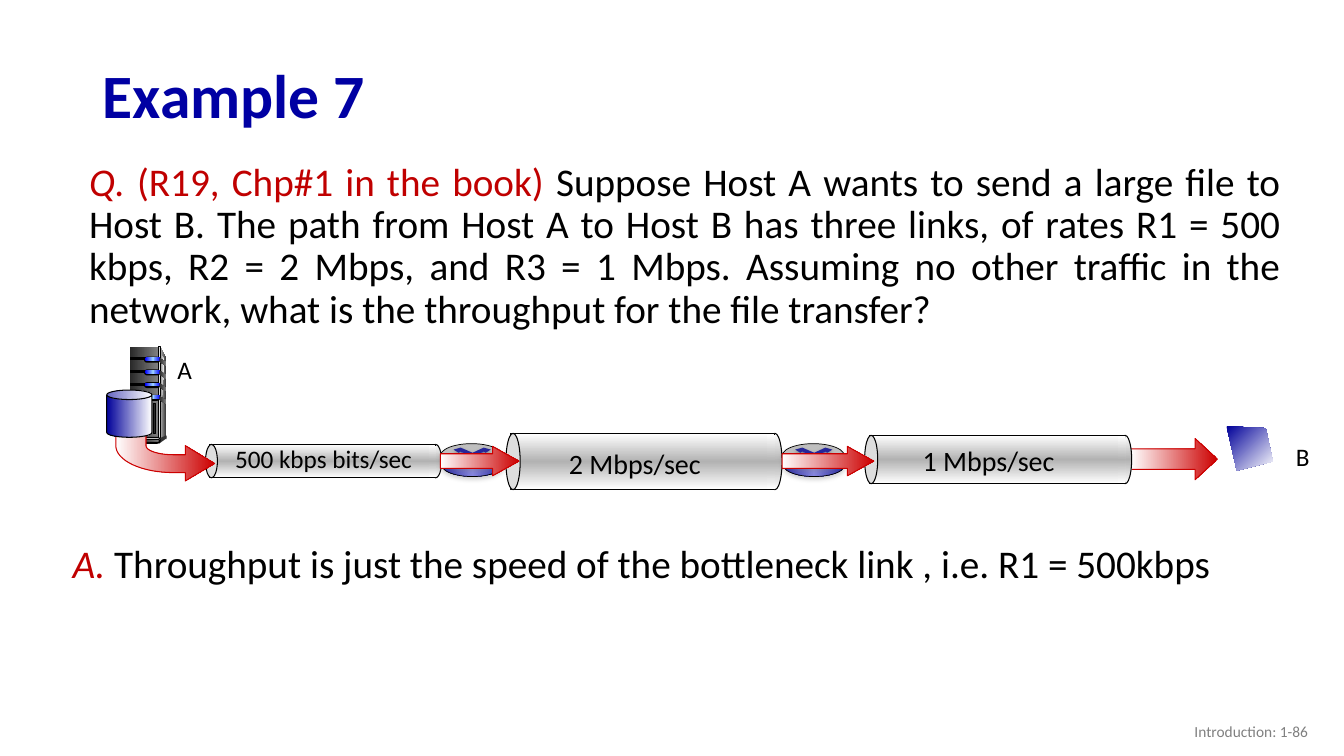
from dataclasses import dataclass
from math import cos, pi, sin

from lxml.etree import SubElement
from pptx import Presentation
from pptx.dml.color import RGBColor
from pptx.enum.shapes import MSO_CONNECTOR, MSO_SHAPE
from pptx.enum.text import MSO_ANCHOR, MSO_AUTO_SIZE, PP_ALIGN
from pptx.oxml.ns import qn
from pptx.util import Cm, Pt


@dataclass(frozen=True)
class Theme:
    font: str = "Calibri"
    title_size: int = 44
    body_size: int = 28
    rate_size: int = 20
    label_size: int = 18
    footer_size: int = 11
    title: str = "0000A3"
    accent: str = "C00000"
    text: str = "000000"
    footer: str = "808080"
    outline: str = "000000"
    arrow_line: str = "CC0000"
    arrow: tuple = ("FFFFFF", "CC0000")
    pipe: tuple = ("FFFFFF", "B2B2B2", "FFFFFF")
    pipe_mouth: str = "DDDDDD"
    storage: tuple = ("000099", "FFFFFF")
    case: tuple = ("292929", "808080")
    case_side: tuple = ("DDDDDD", "333333")
    case_shine: tuple = ("808080", "F8F8F8")
    case_edge: tuple = ("333333", "DDDDDD", "333333")
    case_base: tuple = ("000000", "808080")
    case_dark: str = "333333"
    drive: tuple = ("0000FF", "99CCFF", "0000FF")
    light_on: str = "33CC33"
    light_alert: str = "FF0000"
    router: tuple = ("262699", "8585E0", "262699")
    router_top: str = "BFBFBF"
    router_cross: str = "8585E0"
    router_arrow: str = "262699"
    shadow: str = "808080"


class SlideBuilder:
    def __init__(self, slide, theme):
        self.slide = slide
        self.theme = theme
        self.shapes = slide.shapes

    def start_group(self):
        self.shapes = self.slide.shapes.add_group_shape().shapes

    def end_group(self):
        self.shapes = self.slide.shapes

    def style(self, shape, fill, line=None, line_width=0.75, angle=0, shadow=None):
        shape.shadow.inherit = False
        if isinstance(fill, tuple):
            shape.fill.gradient()
            shape.fill.gradient_angle = (360 - angle) % 360
            stops = shape._element.spPr.find(qn("a:gradFill")).find(qn("a:gsLst"))
            for stop in list(stops):
                stops.remove(stop)
            for index, color in enumerate(fill):
                position = 100000 * index // (len(fill) - 1)
                stop = SubElement(stops, qn("a:gs"), pos=str(position))
                SubElement(stop, qn("a:srgbClr"), val=color)
        else:
            shape.fill.solid()
            shape.fill.fore_color.rgb = RGBColor.from_string(fill)
        if line:
            shape.line.color.rgb = RGBColor.from_string(line)
            shape.line.width = Pt(line_width)
        else:
            shape.line.fill.background()
        if shadow:
            effects = shape._element.spPr.find(qn("a:effectLst"))
            outer = SubElement(effects, qn("a:outerShdw"), blurRad=str(Pt(3.1)),
                               dist=str(Pt(1.8)), dir="5400000", rotWithShape="0")
            color = SubElement(outer, qn("a:srgbClr"), val=shadow)
            SubElement(color, qn("a:alpha"), val="35000")

    def shape(self, kind, left, top, width, height, fill, adjust=(), **style):
        shape = self.shapes.add_shape(kind, Cm(left), Cm(top), Cm(width), Cm(height))
        for index, value in enumerate(adjust):
            shape.adjustments[index] = value
        self.style(shape, fill, **style)

    def rectangle(self, *box, **style):
        self.shape(MSO_SHAPE.RECTANGLE, *box, **style)

    def ellipse(self, *box, **style):
        self.shape(MSO_SHAPE.OVAL, *box, **style)

    def pill(self, *box, **style):
        self.shape(MSO_SHAPE.ROUNDED_RECTANGLE, *box, adjust=(0.5,), **style)

    def outline(self, points, fill, left=0, top=0, **style):
        points = [(Cm(left + x), Cm(top + y)) for x, y in points]
        builder = self.shapes.build_freeform(*points[0])
        builder.add_line_segments(points[1:], close=True)
        self.style(builder.convert_to_shape(), fill, **style)

    def line(self, x, start, end):
        line = self.shapes.add_connector(MSO_CONNECTOR.STRAIGHT, Cm(x), Cm(start), Cm(x), Cm(end))
        line.line.color.rgb = RGBColor.from_string(self.theme.outline)
        line.line.width = Pt(0.5)
        SubElement(line._element.spPr, qn("a:effectLst"))

    def arrow(self, left, top, width, height, head):
        self.shape(MSO_SHAPE.RIGHT_ARROW, left, top, width, height, self.theme.arrow,
                   adjust=(0.5, head), line=self.theme.arrow_line)

    def format(self, paragraph, size, color=None, align=PP_ALIGN.LEFT):
        paragraph.alignment = align
        paragraph.font.name = self.theme.font
        paragraph.font.size = Pt(size)
        if color:
            paragraph.font.color.rgb = RGBColor.from_string(color)

    def text(self, text, box, size, color, align=PP_ALIGN.LEFT, anchor=MSO_ANCHOR.TOP, wrap=True):
        frame = self.shapes.add_textbox(*map(Cm, box)).text_frame
        frame.word_wrap = wrap
        frame.vertical_anchor = anchor
        frame.text = text
        self.format(frame.paragraphs[0], size, color, align)

    def title(self, text, box):
        title = self.slide.shapes.title
        title.left, title.top, title.width, title.height = map(Cm, box)
        title.text = text
        title.text_frame.vertical_anchor = MSO_ANCHOR.MIDDLE
        paragraph = title.text_frame.paragraphs[0]
        paragraph.line_spacing = 0.9
        self.format(paragraph, self.theme.title_size, self.theme.title)
        paragraph.font.bold = True

    def passage(self, shape, box, runs):
        shape.left, shape.top, shape.width, shape.height = map(Cm, box)
        frame = shape.text_frame
        frame.word_wrap = True
        frame.auto_size = MSO_AUTO_SIZE.NONE
        paragraph = frame.paragraphs[0]
        paragraph.line_spacing = 0.9
        paragraph.space_before = Pt(0)
        properties = paragraph._p.get_or_add_pPr()
        properties.set("marL", str(Cm(0.36)))
        properties.set("indent", "0")
        SubElement(properties, qn("a:buNone"))
        self.format(paragraph, self.theme.body_size, align=PP_ALIGN.JUSTIFY)
        for text, color, italic in runs:
            run = paragraph.add_run()
            run.text = text
            run.font.color.rgb = RGBColor.from_string(color)
            run.font.italic = italic

    def pipe(self, left, top, width, height, cap, label, label_box, label_size):
        theme, right = self.theme, left + width
        lined = dict(line=theme.outline, angle=90)
        self.start_group()
        self.ellipse(right - cap, top, cap, height, theme.pipe, **lined)
        self.rectangle(left + cap / 3, top, width - cap * 5 / 6, height, theme.pipe, **lined)
        self.ellipse(left, top, cap, height, theme.pipe_mouth, line=theme.outline)
        self.rectangle(right - 1.08 * cap, top + 0.03, 0.62 * cap, height - 0.05,
                       theme.pipe, angle=90)
        self.text(label, label_box, label_size, theme.text, PP_ALIGN.CENTER)
        self.end_group()

    def router(self, left, top):
        theme = self.theme
        rim = dict(line=theme.outline, line_width=0.5, shadow=theme.shadow)
        cross = [(0.81, 0.36), (0.51, 0.51), (0.41, 0.48), (0.66, 0.38), (0.66, 0.3),
                 (0.48, 0.2), (0.53, 0.2), (0.81, 0.3), (1.07, 0.18), (1.14, 0.2),
                 (0.94, 0.28), (0.99, 0.41), (1.19, 0.48), (1.12, 0.51)]
        chevron = [(0.33, 0.15), (0.51, 0.1), (0.81, 0.23), (1.09, 0.1), (1.27, 0.15),
                   (1.14, 0.23), (1.09, 0.2), (0.81, 0.33), (0.51, 0.2), (0.46, 0.23)]
        right_tip = [(0.94, 0.3), (1.3, 0.43), (1.17, 0.48), (0.94, 0.38)]
        left_tip = [(0.66, 0.3), (0.66, 0.38), (0.43, 0.48), (0.33, 0.43)]
        self.start_group()
        self.ellipse(left + 0.02, top + 0.22, 1.57, 0.61, theme.router, **rim)
        self.rectangle(left, top + 0.3, 1.6, 0.23, theme.router)
        self.ellipse(left, top, 1.57, 0.61, theme.router_top, **rim)
        self.outline(cross, theme.router_cross, left, top)
        for points in (chevron, right_tip, left_tip):
            self.outline(points, theme.router_arrow, left, top, shadow=theme.outline)
        for x in (left, left + 1.6):
            self.line(x, top + 0.56, top + 0.3)
        self.end_group()

    def server(self):
        theme = self.theme
        self.start_group()
        # Case
        self.outline([(4.04, 8.74), (4.19, 9.04), (4.19, 10.97), (3.99, 11.07)], theme.case_side)
        self.rectangle(3.28, 8.74, 0.71, 2.31, theme.case)
        self.outline([(4.04, 8.89), (4.14, 9.07), (4.05, 10.5), (4.04, 11)], theme.case_shine)
        self.rectangle(3.99, 8.74, 0.05, 2.31, theme.case_edge, line=theme.outline)
        # Drives and side vents
        for row in range(4):
            top = 9.02 + 0.32 * row
            self.rectangle(3.28, top, 0.41, 0.05, theme.outline, line=theme.outline)
            self.pill(3.63, top - 0.03, 0.41, 0.15, theme.outline)
            self.pill(3.66, top - 0.02, 0.38, 0.1, theme.drive)
            self.outline([(4.02, 0), (4.19, 0.11), (4.19, 0.2), (4.02, 0.1)], theme.case, top=top)
        # Base, lights and panel
        self.ellipse(4.17, 10.97, 0.03, 0.1, theme.case_dark)
        self.outline([(4.01, 11.05), (4.01, 11.18), (4.19, 11.05), (4.19, 10.97)], theme.case_dark)
        self.pill(3.23, 11.02, 0.81, 0.15, theme.pipe_mouth, line=theme.outline)
        self.pill(3.28, 11.07, 0.74, 0.08, theme.case_base, line=theme.outline)
        for index, color in enumerate((theme.light_on, theme.light_alert, theme.light_on)):
            self.ellipse(3.33 + 0.12 * index, 10.72, 0.1, 0.15, color)
        self.rectangle(3.86, 10.16, 0.05, 0.76, theme.case[0], line=theme.outline)
        self.end_group()

    def bent_arrow(self):
        turn = [pi / 2 * step / 16 for step in range(17)]
        outer = [(4.37 - 1.45 * sin(t), 11.23 + 0.68 * cos(t)) for t in turn]
        inner = [(4.37 - 0.69 * sin(t), 11.23 + 0.23 * cos(t)) for t in reversed(turn)]
        points = [(5.41, 11.68), (4.67, 12.12), (4.67, 11.91), *outer, (2.92, 10.54),
                  (3.68, 10.54), *inner, (4.67, 11.46), (4.67, 11.23)]
        self.outline(points, self.theme.arrow, line=self.theme.arrow_line)


def main():
    presentation = Presentation()
    presentation.slide_width, presentation.slide_height = Cm(33.87), Cm(19.05)
    slide = presentation.slides.add_slide(presentation.slide_layouts[1])
    theme = Theme()
    builder = SlideBuilder(slide, theme)

    # Title, question, answer and footer
    builder.title("Example 7", (2.34, 1.24, 29.21, 2.49))
    builder.passage(slide.placeholders[1], (1.63, 3.96, 30.89, 4.88), [
        ("Q. ", theme.accent, True),
        ("(R19, Chp#1 in the book) ", theme.accent, False),
        ("Suppose Host A wants to send a large file to Host B. The path from Host A to Host B "
         "has three links, of rates R1 = 500 kbps, R2 = 2 Mbps, and R3 = 1 Mbps. Assuming no "
         "other traffic in the network, what is the throughput for the file transfer?",
         theme.text, False)])
    answer_box = (1.22, 13.61, 30.89, 1.63)
    builder.passage(slide.shapes.add_textbox(*map(Cm, answer_box)), answer_box, [
        ("A. ", theme.accent, True),
        ("Throughput is just the speed of the bottleneck link , i.e. R1 = 500kbps",
         theme.text, False)])
    builder.text("Introduction: 1-86", (25.6, 17.91, 7.62, 1.02), theme.footer_size,
                 theme.footer, PP_ALIGN.RIGHT, MSO_ANCHOR.MIDDLE)

    # Host A and the first link
    builder.server()
    builder.pipe(5.18, 11.2, 5.95, 0.84, 0.3, "500 kbps bits/sec",
                 (4.8, 11.05, 6.71, 1.02), theme.label_size)
    builder.bent_arrow()
    builder.shape(MSO_SHAPE.CAN, 2.69, 9.83, 1.14, 1.19, theme.storage,
                  adjust=(0.21,), line=theme.outline)

    # Second and third links, each entered through a router
    builder.arrow(28.5, 11.05, 2.18, 1.04, 0.54)
    builder.pipe(12.75, 10.92, 6.96, 1.42, 0.36, "2 Mbps/sec",
                 (12.95, 11.13, 6.1, 1.12), theme.rate_size)
    builder.pipe(21.79, 10.97, 6.73, 1.22, 0.33, "1 Mbps/sec",
                 (21.97, 11.05, 5.89, 1.12), theme.rate_size)
    for left, arrow_width in ((11.1, 1.98), (19.71, 2.31)):
        builder.router(left, 11.18)
        builder.arrow(left, 11.25, arrow_width, 0.74, 0.9)

    # Host B and host names
    builder.outline([(30.91, 10.74), (31.9, 10.79), (32.08, 11.63), (31.17, 11.86)],
                    theme.storage, angle=45)
    for name, left, top in (("A", 4.22, 8.81), ("B", 32.41, 11)):
        builder.text(name, (left, top, 0.89, 1.02), theme.label_size, theme.text, wrap=False)

    presentation.save("out.pptx")


if __name__ == "__main__":
    main()
